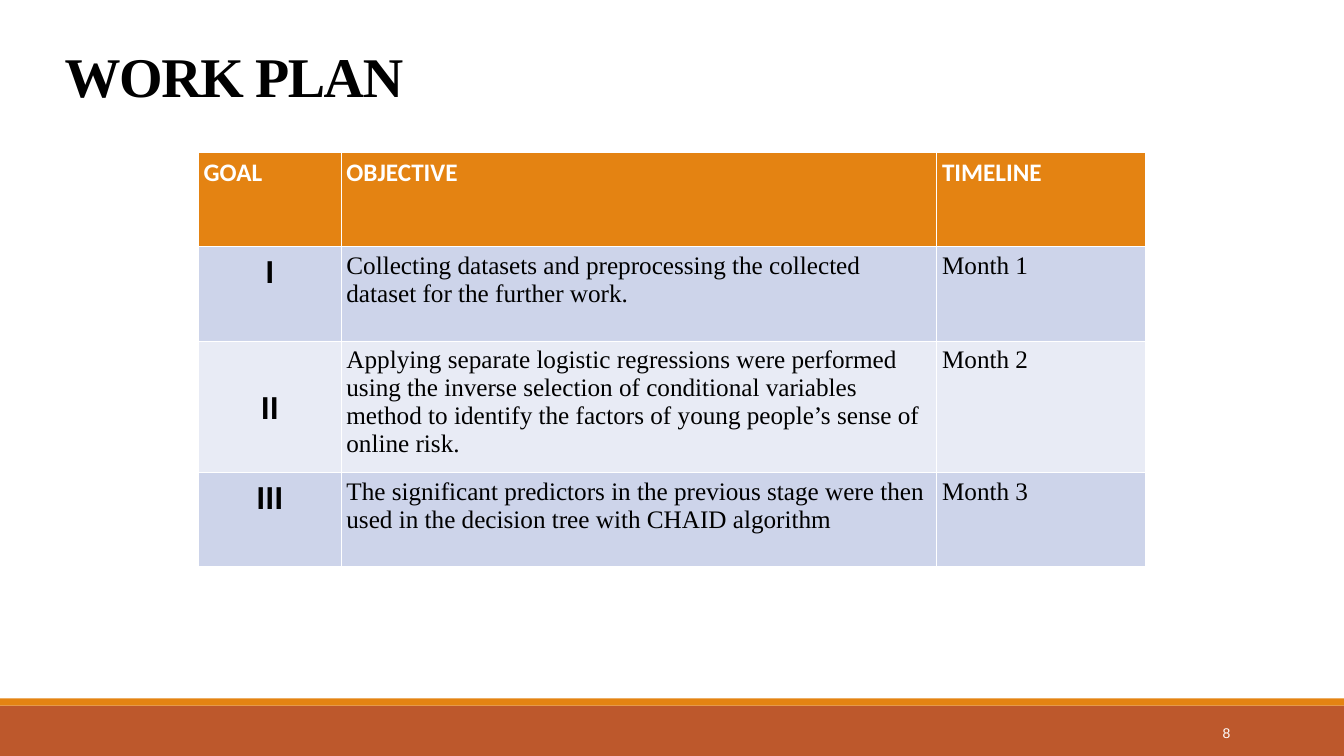
from dataclasses import dataclass
from pptx import Presentation
from pptx.dml.color import RGBColor as Rgb
from pptx.enum.shapes import MSO_SHAPE as Shape
from pptx.enum.text import MSO_ANCHOR as Anchor, MSO_AUTO_SIZE as Fit, PP_ALIGN as Align
from pptx.util import Cm, Pt


@dataclass(frozen=True)
class Theme:
    orange: str = "E48312"
    rust: str = "BD582C"
    odd: str = "CDD4EA"
    even: str = "E8EBF5"
    black: str = "000000"
    white: str = "FFFFFF"
    serif: str = "Times New Roman"
    sans: str = "Calibri"
    plain: str = "Arial"
    head: int = 40
    goal: int = 24
    body: int = 18
    note: int = 10


theme = Theme()


def style(par, face, size, color, bold=False, align=Align.LEFT):
    par.alignment = align
    par.font.name = face
    par.font.size = Pt(size)
    par.font.bold = bold
    par.font.color.rgb = Rgb.from_string(color)


def inset(item, pad=Cm(0.13)):
    item.margin_left = item.margin_right = pad
    item.margin_top = item.margin_bottom = pad


deck = Presentation()
deck.slide_width, deck.slide_height = Cm(33.87), Cm(19.05)
slide = deck.slides.add_slide(deck.slide_layouts[5])

# Footer bars
for top, high, color in ((17.78, 1.27, theme.rust), (17.6, 0.18, theme.orange)):
    bar = slide.shapes.add_shape(Shape.RECTANGLE, 0, Cm(top), deck.slide_width, Cm(high))
    bar.shadow.inherit = False
    bar.fill.solid()
    bar.fill.fore_color.rgb = Rgb.from_string(color)
    bar.line.fill.background()

# Page number
page = slide.shapes.add_textbox(Cm(30.68), Cm(18.14), Cm(0.46), Cm(0.64)).text_frame
page.word_wrap = False
page.vertical_anchor = Anchor.MIDDLE
inset(page)
page.text = "8"
style(page.paragraphs[0], theme.plain, theme.note, theme.white, align=Align.RIGHT)

# Title
title = slide.shapes.title
title.left, title.top, title.width, title.height = Cm(1.5), Cm(0.94), Cm(26.29), Cm(2.13)
frame = title.text_frame
frame.auto_size = Fit.NONE
frame.vertical_anchor = Anchor.MIDDLE
inset(frame)
frame.text = "WORK PLAN"
par = frame.paragraphs[0]
par.line_spacing = 0.9
style(par, theme.serif, theme.head, theme.black, bold=True)
par.runs[0]._r.get_or_add_rPr().set("spc", "-100")

# Work plan table
plan = (
    ("GOAL", "OBJECTIVE", "TIMELINE"),
    ("I", "Collecting datasets and preprocessing the collected dataset "
          "for the further work.", "Month 1"),
    ("II", "Applying separate logistic regressions were performed using the "
           "inverse selection of conditional variables method to identify the "
           "factors of young people’s sense of online risk.", "Month 2"),
    ("III", "The significant predictors in the previous stage were then used "
            "in the decision tree with CHAID algorithm", "Month 3"),
)
wide = (3.6, 15.01, 5.26)
tall = (2.38, 2.38, 3.05, 2.38)
grid = slide.shapes.add_table(len(plan), len(wide), Cm(5), Cm(3.84),
                              Cm(sum(wide)), Cm(sum(tall))).table
for col, size in zip(grid.columns, wide):
    col.width = Cm(size)
for row, size in zip(grid.rows, tall):
    row.height = Cm(size)

for r, line in enumerate(plan):
    shade = theme.orange if r == 0 else theme.odd if r % 2 else theme.even
    for c, text in enumerate(line):
        cell = grid.cell(r, c)
        cell.fill.solid()
        cell.fill.fore_color.rgb = Rgb.from_string(shade)
        inset(cell)
        cell.text = text
        par = cell.text_frame.paragraphs[0]
        if r == 0:
            style(par, theme.sans, theme.body, theme.white, bold=True)
        elif c == 0:
            style(par, theme.sans, theme.goal, theme.black, bold=True, align=Align.CENTER)
        else:
            style(par, theme.serif, theme.body, theme.black)

# The second goal sits one line lower
grid.cell(2, 0).margin_top = Cm(1.16)

deck.save("out.pptx")
